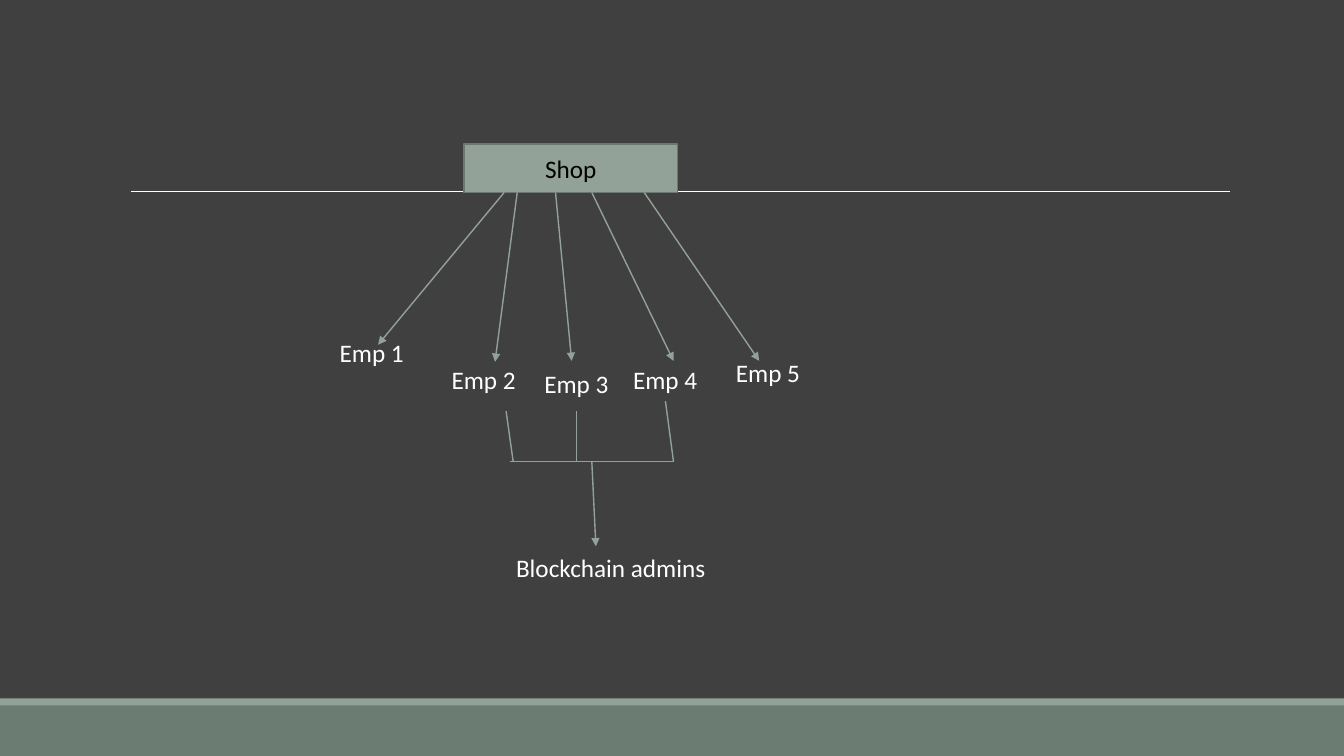
from lxml.etree import SubElement
from pptx import Presentation
from pptx.dml.color import RGBColor
from pptx.enum.shapes import MSO_CONNECTOR, MSO_SHAPE
from pptx.enum.text import MSO_ANCHOR, MSO_AUTO_SIZE, PP_ALIGN
from pptx.oxml.ns import qn
from pptx.util import Inches, Pt

COLORS = {
    "background": "404040",
    "footer": "6B7D72",
    "sage": "93A299",
    "shop_border": "6D7871",
    "white": "FFFFFF",
    "black": "000000",
}
SLIDE_WIDTH, SLIDE_HEIGHT = 13.33, 7.5
LABEL_HEIGHT = 0.4


def color(name):
    return RGBColor.from_string(COLORS[name])


def write(shape, text, size=18, ink="white", font="Calibri",
          align=PP_ALIGN.LEFT, anchor=MSO_ANCHOR.TOP):
    frame = shape.text_frame
    frame.vertical_anchor = anchor
    paragraph = frame.paragraphs[0]
    paragraph.alignment = align
    run = paragraph.add_run()
    run.text = text
    run.font.size = Pt(size)
    run.font.name = font
    run.font.color.rgb = color(ink)


def add_label(slide, left, top, width, text):
    label = slide.shapes.add_textbox(
        Inches(left), Inches(top), Inches(width), Inches(LABEL_HEIGHT))
    label.text_frame.word_wrap = False
    label.text_frame.auto_size = MSO_AUTO_SIZE.SHAPE_TO_FIT_TEXT
    write(label, text)


def add_bar(slide, left, top, width, height, fill, border=None):
    bar = slide.shapes.add_shape(
        MSO_SHAPE.RECTANGLE, Inches(left), Inches(top), Inches(width), Inches(height))
    bar.shadow.inherit = False
    bar.fill.solid()
    bar.fill.fore_color.rgb = color(fill)
    if border:
        bar.line.color.rgb = color(border)
        bar.line.width = Pt(1.25)
    else:
        bar.line.fill.background()
    return bar


def add_line(slide, start, end, ink="sage", weight=1, arrow=False):
    line = slide.shapes.add_connector(
        MSO_CONNECTOR.STRAIGHT, *(Inches(value) for value in (*start, *end)))
    line.line.color.rgb = color(ink)
    line.line.width = Pt(weight)
    if arrow:
        SubElement(line.line._get_or_add_ln(), qn("a:tailEnd"), type="triangle")
    SubElement(line._element.spPr, qn("a:effectLst"))


def draw_backdrop(slide, width, height):
    slide.background.fill.solid()
    slide.background.fill.fore_color.rgb = color("background")
    footer_top = height - 0.5
    add_bar(slide, 0, footer_top, width, 0.5, "footer")
    add_bar(slide, 0, footer_top - 0.07, width, 0.07, "sage")
    add_line(slide, (1.3, 1.9), (12.2, 1.9), ink="white", weight=0.5)


def draw_shop(slide, left, top, width, height):
    """Draw the shop box and the arrows fanning out to its employees."""
    shop = add_bar(slide, left, top, width, height, "sage", border="shop_border")
    write(shop, "Shop", ink="black", align=PP_ALIGN.CENTER, anchor=MSO_ANCHOR.MIDDLE)

    # Offsets from the shop's bottom left corner: arrow start x, arrow tip, label
    employees = [
        (0.4, (-0.85, 1.51), (-1.33, 1.39)),
        (0.53, (0.31, 1.68), (-0.22, 1.66)),
        (0.91, (1.07, 1.67), (0.7, 1.69)),
        (1.27, (2.08, 1.67), (1.58, 1.66)),
        (1.79, (2.93, 1.67), (2.6, 1.59)),
    ]
    bottom = top + height
    for number, (start_x, tip, label) in enumerate(employees, 1):
        add_line(slide, (left + start_x, bottom),
                 (left + tip[0], bottom + tip[1]), arrow=True)
        add_label(slide, left + label[0], bottom + label[1], 0.85, f"Emp {number}")


def draw_admins(slide, left, top, width, height):
    """Join three employees in a bracket that points to the admins label."""
    bracket_y = top + 0.6
    add_line(slide, (left + 0.04, bracket_y), (left + width, bracket_y))
    for start_x, start_y, end_x in [(0, 0.1, 0.07), (0.7, 0.1, 0.7), (1.58, 0, 1.66)]:
        add_line(slide, (left + start_x, top + start_y), (left + end_x, bracket_y))
    label_top = top + height - LABEL_HEIGHT
    add_line(slide, (left + 0.85, bracket_y), (left + 0.89, label_top - 0.01), arrow=True)
    add_label(slide, left, label_top, 2.1, "Blockchain admins")


def main():
    deck = Presentation()
    deck.slide_width, deck.slide_height = Inches(SLIDE_WIDTH), Inches(SLIDE_HEIGHT)
    blank_layout = deck.slide_layouts[6]
    slide = deck.slides.add_slide(blank_layout)
    draw_backdrop(slide, SLIDE_WIDTH, SLIDE_HEIGHT)
    draw_shop(slide, 4.6, 1.43, 2.12, 0.48)
    draw_admins(slide, 5.02, 3.98, 1.66, 1.85)
    deck.save("out.pptx")


if __name__ == "__main__":
    main()
